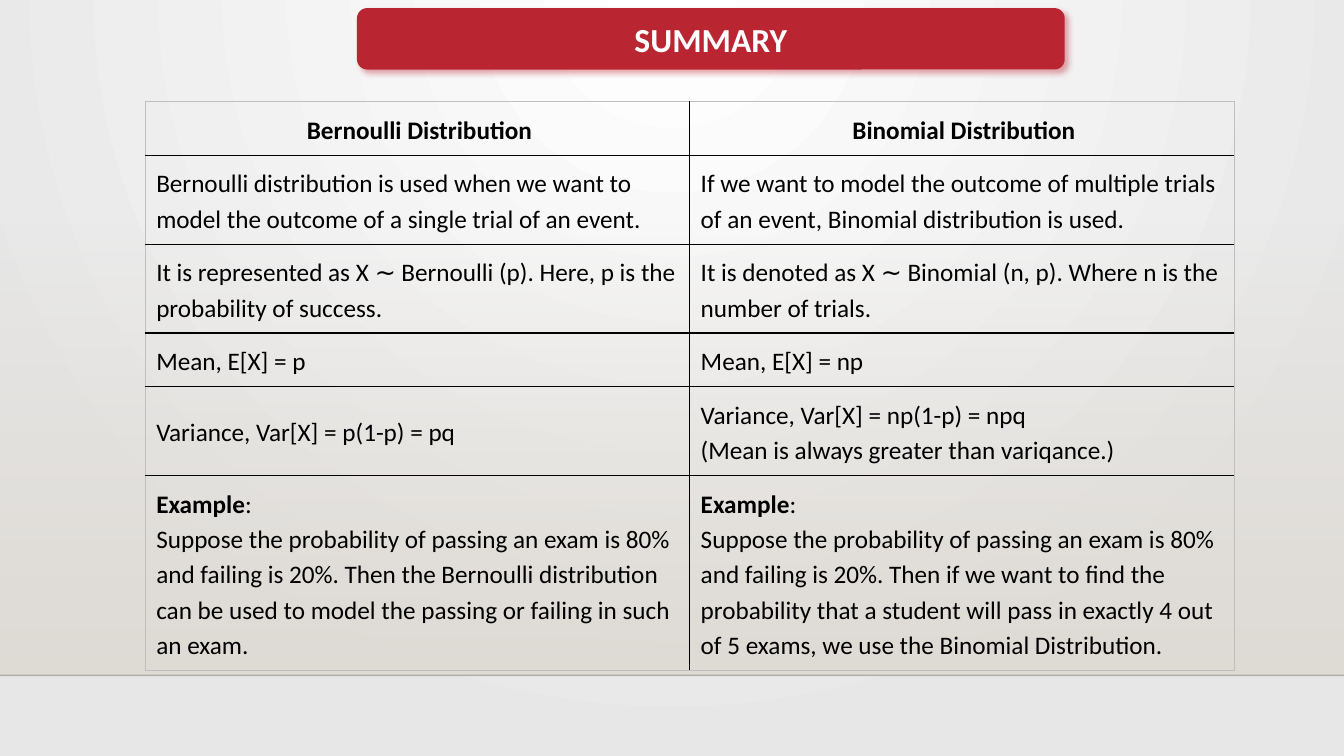
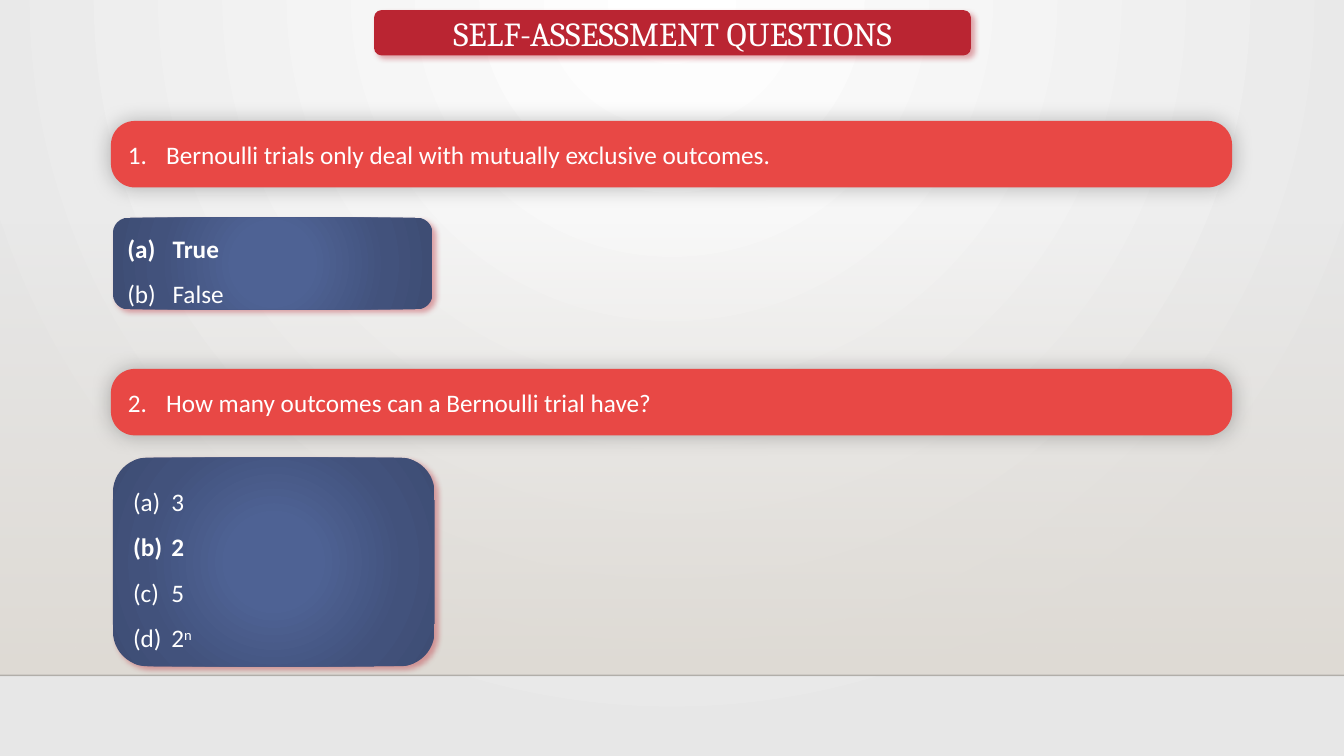
from dataclasses import dataclass

from lxml import etree
from pptx import Presentation
from pptx.dml.color import RGBColor
from pptx.enum.shapes import MSO_CONNECTOR, MSO_SHAPE
from pptx.enum.text import MSO_ANCHOR, PP_ALIGN
from pptx.oxml import parse_xml
from pptx.oxml.ns import nsdecls, qn
from pptx.util import Inches, Pt

ROUNDED = MSO_SHAPE.ROUNDED_RECTANGLE
RECTANGLE = MSO_SHAPE.RECTANGLE
STRAIGHT = MSO_CONNECTOR.STRAIGHT
MIDDLE = MSO_ANCHOR.MIDDLE
CENTER = PP_ALIGN.CENTER
BLANK_LAYOUT = 6


@dataclass(frozen=True)
class Theme:
    body_font: str = "Calibri"
    serif_font: str = "Cambria"
    title_size: int = 24
    body_size: int = 18
    white: str = "FFFFFF"
    black: str = "000000"
    backdrop: str = "E7E7E7"
    floor: str = "DFDBD5"
    crimson: str = "BA2532"
    coral: str = "E84845"
    frame: str = "BFBFBF"
    option_stops: tuple = ((0, "4E6294"), (23, "4E6294"),
                           (69, "42527C"), (97, "3E4D74"))


THEME = Theme()
# Colour, opacity in percent, blur and distance in points, angle in degrees
RED_SHADOW = (THEME.crimson, 40, 4, 3, 45)
SOFT_SHADOW = (THEME.black, 25, 15, 0, 0)


@dataclass(frozen=True)
class Run:
    text: str
    bold: bool = False
    superscript: bool = False


def bold(text):
    return (Run(text, bold=True),)


def color_xml(color, opacity=100):
    return (f'<a:srgbClr val="{color}"><a:alpha val="{opacity * 1000}"/>'
            '</a:srgbClr>')


def set_gradient(fill, holder, stops, center=None):
    """Fill with (percent, colour[, opacity]) stops, downwards or around
    center, the left, top, right and bottom percentages of the focus."""
    fill.background()
    stops_xml = "".join(
        f'<a:gs pos="{position * 1000}">{color_xml(*color)}</a:gs>'
        for position, *color in stops)
    if center:
        sides = " ".join(f'{side}="{percent * 1000}"'
                         for side, percent in zip("ltrb", center))
        direction = f'<a:path path="circle"><a:fillToRect {sides}/></a:path>'
    else:
        direction = '<a:lin ang="5400000" scaled="0"/>'
    gradient = parse_xml(
        f'<a:gradFill {nsdecls("a")} rotWithShape="1">'
        f'<a:gsLst>{stops_xml}</a:gsLst>{direction}</a:gradFill>')
    holder.replace(holder.find(qn("a:noFill")), gradient)


def set_shadow(shape, color, opacity, blur, distance, angle):
    effects = shape._element.spPr.find(qn("a:effectLst"))
    effects.append(parse_xml(
        f'<a:outerShdw {nsdecls("a")} blurRad="{Pt(blur)}" '
        f'dist="{Pt(distance)}" dir="{angle * 60000}" algn="ctr" '
        f'rotWithShape="0">{color_xml(color, opacity)}</a:outerShdw>'))


def set_number(paragraph, scheme, start, hanging):
    properties = paragraph._p.get_or_add_pPr()
    properties.set("marL", str(Inches(hanging)))
    properties.set("indent", str(-Inches(hanging)))
    number = etree.SubElement(properties, qn("a:buAutoNum"), type=scheme)
    if start > 1:
        number.set("startAt", str(start))


def write(frame, paragraphs, *, font=THEME.body_font, size=THEME.body_size,
          color=THEME.white, align=None, line_spacing=None, space_after=None,
          numbering=None, start=1, hanging=0.38):
    """Write paragraphs, each a string or a tuple of runs; a newline in a run
    breaks the line."""
    frame.word_wrap = True
    for index, content in enumerate(paragraphs):
        paragraph = frame.add_paragraph() if index else frame.paragraphs[0]
        paragraph.alignment = align
        paragraph.line_spacing = line_spacing
        paragraph.space_after = space_after
        if numbering:
            set_number(paragraph, numbering, start, hanging)
        runs = (Run(content),) if isinstance(content, str) else content
        for part in runs:
            for line_index, line in enumerate(part.text.split("\n")):
                if line_index:
                    paragraph.add_line_break()
                run = paragraph.add_run()
                run.text = line
                run.font.name = font
                run.font.size = Pt(size)
                run.font.bold = part.bold
                run.font.color.rgb = RGBColor.from_string(color)
                if part.superscript:
                    run.font._element.set("baseline", "30000")


def add_panel(slide, box, preset=ROUNDED, fill=None, stops=None, center=None,
              shadow=None):
    """Add an unoutlined shape with a flat fill or gradient stops."""
    panel = slide.shapes.add_shape(preset, *map(Inches, box))
    panel.shadow.inherit = False
    panel.line.fill.background()
    if stops:
        set_gradient(panel.fill, panel._element.spPr, stops, center)
    else:
        panel.fill.solid()
        panel.fill.fore_color.rgb = RGBColor.from_string(fill)
    if shadow:
        set_shadow(panel, *shadow)
    panel.text_frame.vertical_anchor = MIDDLE
    return panel


def add_title(slide, box, content, font=THEME.body_font):
    banner = add_panel(slide, box, fill=THEME.crimson, shadow=RED_SHADOW)
    write(banner.text_frame, [content], font=font, size=THEME.title_size,
          align=CENTER)


def add_question(slide, top, number, question):
    bar = add_panel(slide, (1.1, top, 11.12, 0.66), fill=THEME.coral,
                    shadow=SOFT_SHADOW)
    bar.adjustments[0] = 0.36
    write(bar.text_frame, [question], numbering="arabicPeriod", start=number)


def add_options(slide, box, options, hanging=0.38):
    card = add_panel(slide, box, stops=THEME.option_stops,
                     center=(50, 50, 50, 50), shadow=RED_SHADOW)
    write(card.text_frame, options, line_spacing=1.5,
          numbering="alphaLcParenBoth", hanging=hanging)


def set_borders(cell, outer_sides):
    """Draw grey lines on the outer sides and black lines on the others."""
    properties = cell._tc.get_or_add_tcPr()
    for index, side in enumerate("LRTB"):
        outer = side in outer_sides
        color = THEME.frame if outer else THEME.black
        width = Pt(0.5) if outer else Pt(1)
        properties.insert(index, parse_xml(
            f'<a:ln{side} {nsdecls("a")} w="{width}"><a:solidFill>'
            f'{color_xml(color)}</a:solidFill></a:ln{side}>'))


def add_comparison(slide, left, top, column_width, row_heights, rows):
    row_count, column_count = len(rows), len(rows[0])
    table = slide.shapes.add_table(
        row_count, column_count, Inches(left), Inches(top),
        Inches(column_width * column_count), Inches(sum(row_heights))).table
    table.first_row = table.horz_banding = False
    for column in table.columns:
        column.width = Inches(column_width)
    for row, height in zip(table.rows, row_heights):
        row.height = Inches(height)
    for r, contents in enumerate(rows):
        for c, content in enumerate(contents):
            cell = table.cell(r, c)
            cell.fill.background()
            cell.vertical_anchor = MIDDLE
            cell.margin_left, cell.margin_right = Inches(0.11), Inches(0.07)
            cell.margin_top = cell.margin_bottom = Inches(0.09)
            write(cell.text_frame, [content], color=THEME.black,
                  align=None if r else CENTER, line_spacing=1.15,
                  space_after=Pt(8))
            edges = {"L": c == 0, "R": c == column_count - 1,
                     "T": r == 0, "B": r == row_count - 1}
            set_borders(cell, [side for side, outer in edges.items() if outer])


def build_master(presentation, slide):
    """Set the backdrop, and move a floor band and its edge from the slide to
    the master."""
    master = presentation.slide_master
    backdrop = master.background.fill
    backdrop.background()
    set_gradient(backdrop, master.element.find(".//" + qn("p:bgPr")),
                 ((0, THEME.white), (100, THEME.backdrop)), (43, 0, 43, 100))
    floor = add_panel(slide, (0, 2.21, 13.33, 4.49), RECTANGLE,
                      stops=((0, THEME.floor, 0), (100, THEME.floor)))
    edge = slide.shapes.add_connector(
        STRAIGHT, 0, Inches(6.7), presentation.slide_width, Inches(6.7))
    edge.line.width = Pt(1)
    edge.line.color.rgb = RGBColor.from_string(THEME.black)
    edge_color = edge._element.spPr.find(".//" + qn("a:srgbClr"))
    etree.SubElement(edge_color, qn("a:alpha"), val="20000")
    etree.SubElement(edge._element.spPr, qn("a:effectLst"))
    for decoration in (floor, edge):
        master.shapes.element.append(decoration._element)


def build_summary(slide):
    add_title(slide, (3.54, 0.08, 7.02, 0.61), bold("SUMMARY"))
    example = Run("Example", bold=True)
    premise = (":\nSuppose the probability of passing an exam is 80% and "
               "failing is 20%. Then ")
    add_comparison(slide, 1.44, 1.01, 5.4, (0.51, 0.86, 0.86, 0.51, 0.82, 1.9), (
        (bold("Bernoulli Distribution"), bold("Binomial Distribution")),
        ("Bernoulli distribution is used when we want to model the outcome "
         "of a single trial of an event.",
         "If we want to model the outcome of multiple trials of an event, "
         "Binomial distribution is used."),
        ("It is represented as X ∼ Bernoulli (p). Here, p is "
         "the probability of success.",
         "It is denoted as X ∼ Binomial (n, p). Where n is the "
         "number of trials."),
        ("Mean, E[X] = p", "Mean, E[X] = np"),
        ("Variance, Var[X] = p(1-p) = pq",
         "Variance, Var[X] = np(1-p) = npq\n"
         "(Mean is always greater than variqance.)"),
        ((example, Run(premise + "the Bernoulli distribution can be used to "
                       "model the passing or failing in such an exam.")),
         (example, Run(premise + "if we want to find the probability that a "
                       "student will pass in exactly 4 out of 5 exams, we use "
                       "the Binomial Distribution."))),
    ))


def build_questions(slide):
    add_title(slide, (3.71, 0.1, 5.92, 0.45), "SELF-ASSESSMENT QUESTIONS",
              font=THEME.serif_font)
    add_question(slide, 1.2, 1, "Bernoulli trials only deal with mutually "
                                "exclusive outcomes.")
    add_options(slide, (1.12, 2.16, 3.17, 0.91), (bold("True"), "False"),
                hanging=0.45)
    add_question(slide, 3.66, 2, "How many outcomes can a Bernoulli trial have?")
    add_options(slide, (1.12, 4.54, 3.19, 2.07),
                ("3", bold("2"), "5", (Run("2"), Run("n", superscript=True))))


def main():
    presentation = Presentation()
    presentation.slide_width = Inches(13.33)
    presentation.slide_height = Inches(7.5)
    blank = presentation.slide_layouts[BLANK_LAYOUT]
    summary, questions = (presentation.slides.add_slide(blank)
                          for _ in range(2))
    build_master(presentation, summary)
    build_summary(summary)
    build_questions(questions)
    presentation.save("out.pptx")


if __name__ == "__main__":
    main()
